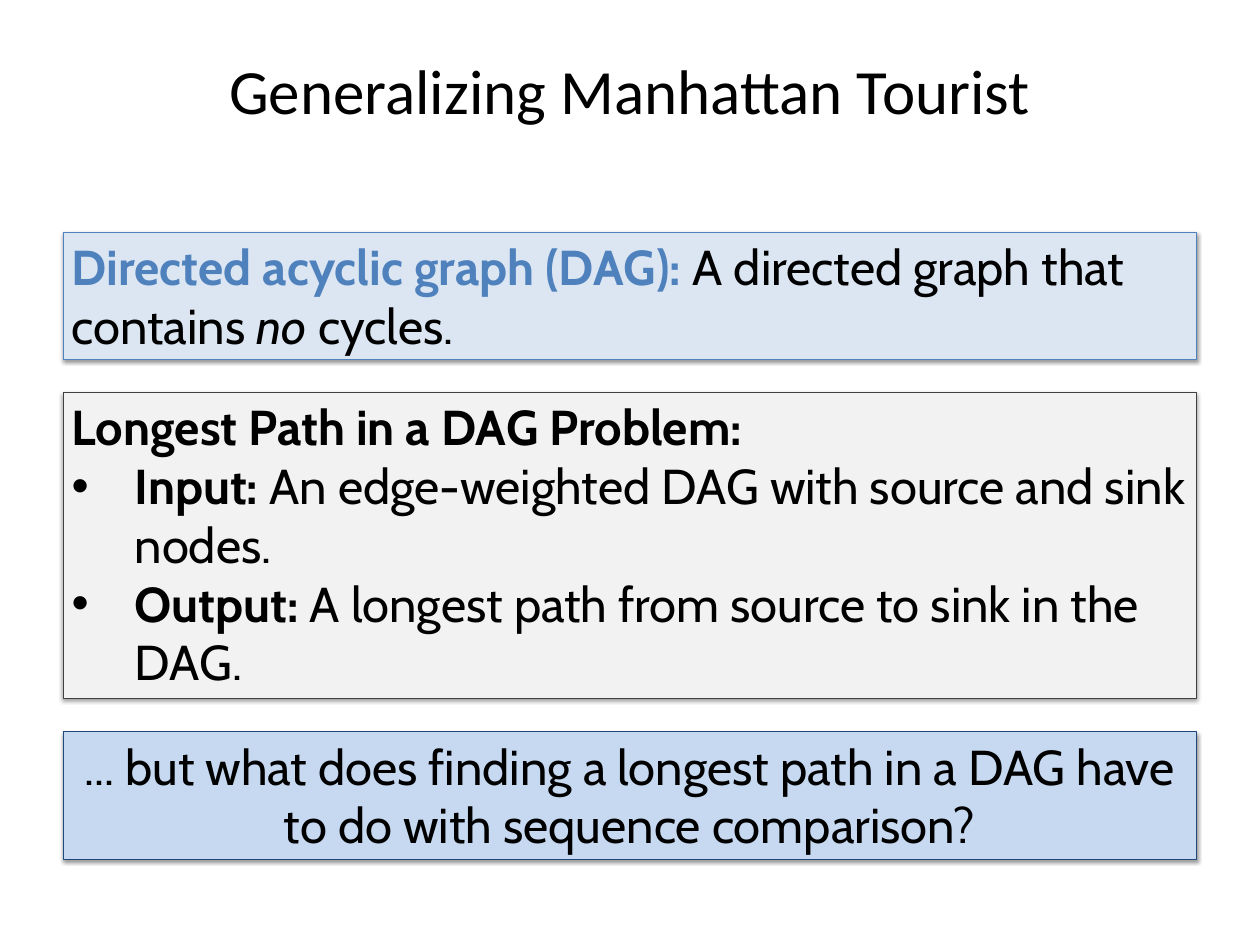
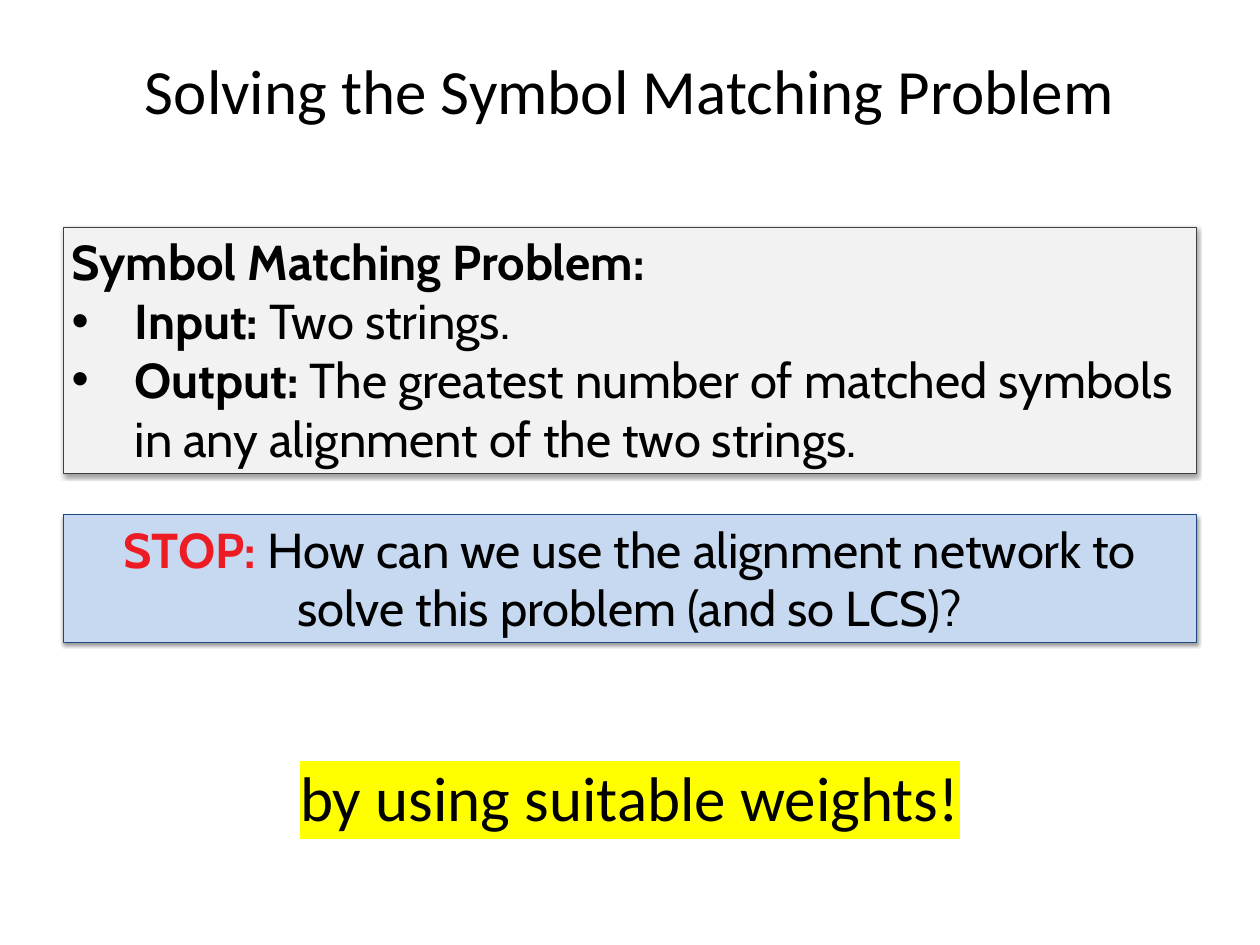
"""Build two slides on longest paths in a DAG and symbol matching."""
from lxml import etree
from pptx import Presentation
from pptx.dml.color import RGBColor
from pptx.enum.shapes import MSO_SHAPE
from pptx.enum.text import MSO_ANCHOR, MSO_AUTO_SIZE, PP_ALIGN
from pptx.oxml.ns import qn
from pptx.util import Pt

RECTANGLE = MSO_SHAPE.RECTANGLE
TOP, MIDDLE = MSO_ANCHOR.TOP, MSO_ANCHOR.MIDDLE
NO_FIT, GROW = MSO_AUTO_SIZE.NONE, MSO_AUTO_SIZE.SHAPE_TO_FIT_TEXT
LEFT, CENTER = PP_ALIGN.LEFT, PP_ALIGN.CENTER

BLACK, BLUE, RED, YELLOW = "000000", "4F81BD", "ED1C24", "FFFF00"
MARGIN, WIDTH, INDENT = 51.2, 921.6, 51.2
TITLE_TOP, TITLE_HEIGHT, CLOSING_TOP = 8.6, 128, 583.2
HEADING = {"size": 51.2, "font": "Calibri"}
BOX_STYLES = {
    "definition": ("DCE6F2", BLUE, LEFT),
    "problem": ("F2F2F2", "404040", LEFT),
    "question": ("C6D9F1", "1F497D", CENTER),
}
BOLD = {"bold": True}

SLIDES = [
    ("Generalizing Manhattan Tourist", [
        ("definition", 188.6, 103.7, [
            [("Directed acyclic graph (DAG): ", {"bold": True, "color": BLUE}),
             ("A directed graph that contains ", {}),
             ("no", {"italic": True}),
             (" cycles.", {})],
        ]),
        ("problem", 319, 248.4, [
            [("Longest Path in a DAG Problem:", BOLD)],
            [("Input: ", BOLD),
             ("An edge-weighted DAG with source and sink nodes.", {})],
            [("Output: ", BOLD),
             ("A longest path from source to sink in the DAG.", {})],
        ]),
        ("question", 594.7, 103.7, [
            [("... but what does finding a longest path in a DAG have "
              "to do with sequence comparison?", {})],
        ]),
    ], None),
    ("Solving the Symbol Matching Problem", [
        ("problem", 185, 200.2, [
            [("Symbol Matching Problem:", BOLD)],
            [("Input: ", BOLD), ("Two strings.", {})],
            [("Output: ", BOLD),
             ("The greatest number of matched symbols in any alignment "
              "of the two strings.", {})],
        ]),
        ("question", 418.3, 103.7, [
            [("STOP: ", {"bold": True, "color": RED}),
             ("How can we use the alignment network to solve this problem "
              "(and so LCS)?", {})],
        ]),
    ], "by using suitable weights!"),
]


def paint(target, value):
    """Give a colour format the colour of a hex string."""
    target.rgb = RGBColor.from_string(value)


def add_span(para, text, size=39.8, font="Cabin", color=BLACK,
             bold=False, italic=False, highlight=None):
    """Add formatted text to a paragraph."""
    span = para.add_run()
    span.text = text
    span.font.size = Pt(size)
    span.font.name = font
    span.font.bold = bold
    span.font.italic = italic
    paint(span.font.color, color)
    if highlight:
        mark = etree.Element(qn("a:highlight"))
        etree.SubElement(mark, qn("a:srgbClr"), val=highlight)
        span.font._element.find(qn("a:solidFill")).addnext(mark)


deck = Presentation()
deck.slide_width, deck.slide_height = Pt(1024), Pt(768)

for title, boxes, closing in SLIDES:
    page = deck.slides.add_slide(deck.slide_layouts[5])
    heading = page.shapes.title
    heading.left, heading.top = Pt(MARGIN), Pt(TITLE_TOP)
    heading.width, heading.height = Pt(WIDTH), Pt(TITLE_HEIGHT)
    headings = [(heading, title, None)]
    if closing:
        closing_box = page.shapes.add_textbox(
            Pt(MARGIN), Pt(CLOSING_TOP), Pt(WIDTH), Pt(TITLE_HEIGHT))
        headings.append((closing_box, closing, YELLOW))

    for box, text, highlight in headings:
        frame = box.text_frame
        frame.word_wrap = True
        frame.auto_size = NO_FIT
        frame.vertical_anchor = MIDDLE
        frame.paragraphs[0].alignment = CENTER
        add_span(frame.paragraphs[0], text, highlight=highlight, **HEADING)

    for style, top, height, paragraphs in boxes:
        fill, outline, alignment = BOX_STYLES[style]
        box = page.shapes.add_shape(
            RECTANGLE, Pt(MARGIN), Pt(top), Pt(WIDTH), Pt(height))
        box.fill.solid()
        paint(box.fill.fore_color, fill)
        paint(box.line.color, outline)
        box.line.width = Pt(0.75)
        box.shadow.inherit = False
        effects = box._element.spPr.find(qn("a:effectLst"))
        shadow = etree.SubElement(
            effects, qn("a:outerShdw"), blurRad=str(Pt(3.1)),
            dist=str(Pt(1.6)), dir="5400000", rotWithShape="0")
        shade = etree.SubElement(shadow, qn("a:srgbClr"), val=BLACK)
        etree.SubElement(shade, qn("a:alpha"), val="38000")

        frame = box.text_frame
        frame.word_wrap = True
        frame.auto_size = GROW
        frame.vertical_anchor = TOP
        for index, spans in enumerate(paragraphs):
            para = frame.add_paragraph() if index else frame.paragraphs[0]
            para.alignment = alignment
            if index:
                layout = para._p.get_or_add_pPr()
                layout.set("marL", str(Pt(INDENT)))
                layout.set("indent", str(-Pt(INDENT)))
                etree.SubElement(layout, qn("a:buFont"), typeface="Arial")
                etree.SubElement(layout, qn("a:buChar"), char="•")
            for text, options in spans:
                add_span(para, text, **options)

deck.save("out.pptx")
